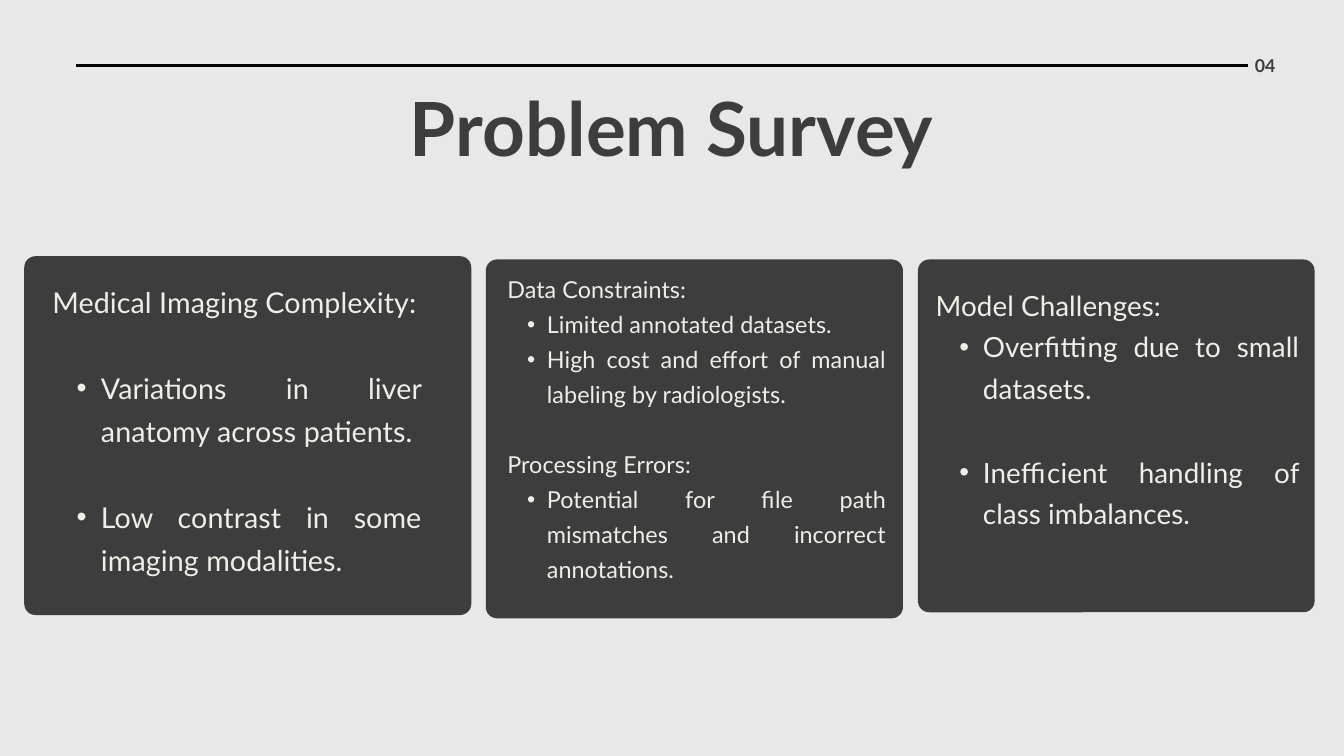
from dataclasses import dataclass

from lxml import etree
from pptx import Presentation
from pptx.dml.color import RGBColor
from pptx.enum import shapes, text
from pptx.oxml import ns
from pptx.util import Pt


@dataclass(frozen=True)
class Theme:
    font: str = "Lato"
    paper: str = "E8E8E8"
    dark: str = "3D3D3D"
    light: str = "EFEEE7"
    rule: str = "000000"
    title_size: float = 80
    number_size: float = 19
    card_sizes: tuple = (30.7, 25, 29.8)
    leading: float = 1.5
    tracking: float = 0.1
    bullet_indent: float = 1.7


@dataclass(frozen=True)
class Box:
    left: float
    top: float
    width: float
    height: float

    def inner(self, left, top, width, height):
        return Box(self.left + left, self.top + top, width, height)

    def lengths(self):
        return [Pt(n) for n in (self.left, self.top, self.width, self.height)]


THEME = Theme()
ALIGN = text.PP_ALIGN

CARDS = [
    (Box(26, 274.5, 479, 384.5), (30, 21, 396, 318), [
        ("Medical Imaging Complexity:", False, False),
        ("Variations in liver anatomy across patients.", True, True),
        ("Low contrast in some imaging modalities.", True, True),
    ]),
    (Box(520.5, 278, 447, 384.5), (23, 9.5, 406, 366.5), [
        ("Data Constraints:", False, False),
        ("Limited annotated datasets.", True, False),
        ("High cost and effort of manual labeling by radiologists.", True, False),
        ("Processing Errors:", False, True),
        ("Potential for file path mismatches and incorrect annotations.", True, False),
    ]),
    (Box(983.5, 278, 425, 378), (19, 22, 390, 308), [
        ("Model Challenges:", False, False),
        ("Overfitting due to small datasets.", True, False),
        ("Inefficient handling of class imbalances.", True, True),
    ]),
]


def color(value):
    return RGBColor.from_string(value)


def place(shape, box):
    shape.left, shape.top, shape.width, shape.height = box.lengths()
    frame = shape.text_frame
    frame.word_wrap = True
    frame.auto_size = text.MSO_AUTO_SIZE.NONE
    frame.vertical_anchor = text.MSO_ANCHOR.TOP
    frame.margin_left = frame.margin_top = frame.margin_right = frame.margin_bottom = 0
    return frame


def write(para, words, *, size, ink, align, bold=False, leading=THEME.leading,
          tracking=0, before=0):
    para.alignment = align
    para.line_spacing = Pt(size * leading)
    para.space_before = Pt(before)
    para.space_after = Pt(0)
    span = para.add_run()
    span.text = words
    span.font.name = THEME.font
    span.font.size = Pt(size)
    span.font.bold = bold
    span.font.color.rgb = color(ink)
    span.font._element.set("spc", str(round(tracking * 100)))


def set_bullet(para, indent):
    props = para._p.get_or_add_pPr()
    props.set("marL", str(Pt(indent)))
    props.set("indent", str(-Pt(indent / 2)))
    if indent:
        etree.SubElement(props, ns.qn("a:buFont")).set("typeface", "Arial")
        etree.SubElement(props, ns.qn("a:buChar")).set("char", "•")
    else:
        etree.SubElement(props, ns.qn("a:buNone"))


def add_header(page, box):
    rule_end = box.left + box.width - 29.5
    rule_top = box.top + 16.5
    rule = page.shapes.add_connector(
        shapes.MSO_CONNECTOR.STRAIGHT,
        Pt(box.left), Pt(rule_top), Pt(rule_end), Pt(rule_top))
    rule.line.color.rgb = color(THEME.rule)
    rule.line.width = Pt(3.75)
    etree.SubElement(rule._element.spPr, ns.qn("a:effectLst"))

    number_box = box.inner(box.width - 29.5, 0, 29.5, 27.5)
    number = page.shapes.add_textbox(*number_box.lengths())
    write(place(number, number_box).paragraphs[0], "04", size=THEME.number_size,
          ink=THEME.dark, align=ALIGN.RIGHT, bold=True, tracking=THEME.tracking)

    title = place(page.shapes.title, box.inner(84, 34.5, 1109.5, 97))
    write(title.paragraphs[0], "Problem Survey", size=THEME.title_size,
          ink=THEME.dark, align=ALIGN.CENTER, bold=True, leading=1.2)


def add_card(page, body, box, inset, size, entries):
    card = page.shapes.add_shape(shapes.MSO_SHAPE.ROUNDED_RECTANGLE, *box.lengths())
    card.adjustments[0] = 12 / min(box.width, box.height)
    card.shadow.inherit = False
    card.fill.solid()
    card.fill.fore_color.rgb = color(THEME.dark)
    card.line.fill.background()

    card._element.addnext(body._element)
    frame = place(body, box.inner(*inset))
    for index, (words, bulleted, gap) in enumerate(entries):
        para = frame.add_paragraph() if index else frame.paragraphs[0]
        write(para, words, size=size, ink=THEME.light, align=ALIGN.JUSTIFY,
              tracking=THEME.tracking, before=size * THEME.leading if gap else 0)
        set_bullet(para, size * THEME.bullet_indent if bulleted else 0)


def main():
    deck = Presentation()
    deck.slide_width, deck.slide_height = Pt(1440), Pt(810)
    page = deck.slides.add_slide(deck.slide_layouts.get_by_name("Comparison"))
    page.background.fill.solid()
    page.background.fill.fore_color.rgb = color(THEME.paper)

    title, *bodies, spare = page.placeholders
    spare._element.getparent().remove(spare._element)
    for body, size, (box, inset, entries) in zip(bodies, THEME.card_sizes, CARDS):
        add_card(page, body, box, inset, size, entries)
    add_header(page, Box(81, 53.5, 1285.5, 132))
    deck.save("out.pptx")


if __name__ == "__main__":
    main()
